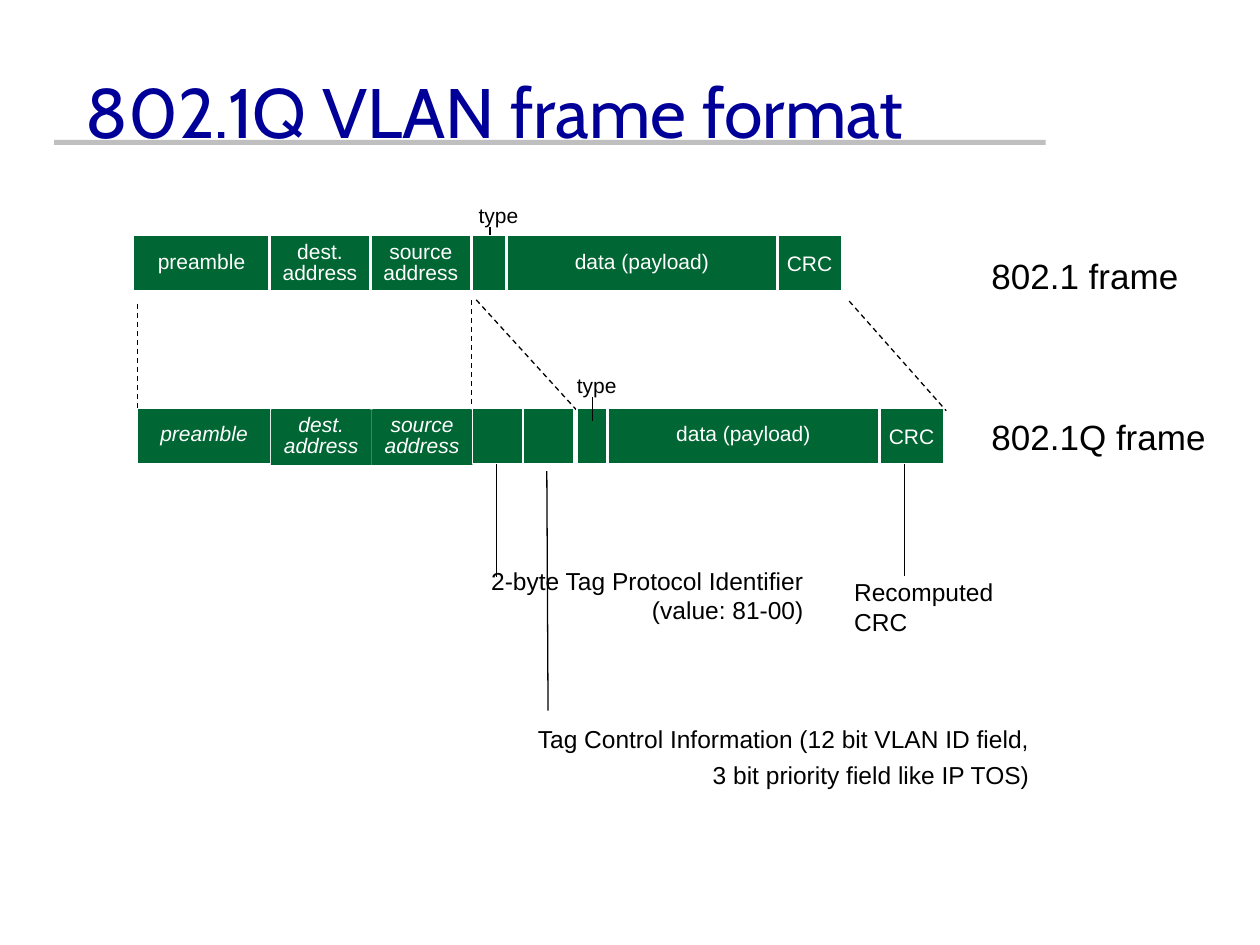
"""Build the slide that compares the 802.1 and 802.1Q frames."""
import lxml.etree
import pptx
import pptx.dml.color
import pptx.enum.dml
import pptx.enum.shapes
import pptx.enum.text
import pptx.oxml.ns
import pptx.util
from dataclasses import dataclass

ALIGN = pptx.enum.text.PP_ALIGN
ANCHOR = pptx.enum.text.MSO_ANCHOR
FIT = pptx.enum.text.MSO_AUTO_SIZE
RECT = pptx.enum.shapes.MSO_SHAPE.RECTANGLE
COLS, ROWS = 100, 75


@dataclass(frozen=True)
class Theme:
    """Colours, fonts and sizes of the slide."""
    ink: str = "000000"
    paper: str = "FFFFFF"
    field: str = "006633"
    title: str = "000099"
    rule: str = "BFBFBF"
    body: str = "Arial"
    head: str = "Cabin"
    small: float = 12
    note: float = 14
    name: float = 20
    large: float = 40
    thin: float = 0.75
    thick: float = 1.5


LOOK = Theme()


def tint(code):
    """Turn a hex code into a colour."""
    return pptx.dml.color.RGBColor.from_string(code)


def unit(count):
    """Turn a count of grid cells into a length."""
    return pptx.util.Inches(count * 10 / COLS)


def style(run, size, color, face=LOOK.body, slant=None):
    """Set the font of a run."""
    run.font.size = pptx.util.Pt(size)
    run.font.name = face
    run.font.color.rgb = tint(color)
    run.font.italic = slant


def block(parts, box, fill, edge=None):
    """Add a filled rectangle."""
    shape = parts.add_shape(RECT, *map(unit, box))
    shape.shadow.inherit = False
    shape.fill.solid()
    shape.fill.fore_color.rgb = tint(fill)
    if edge:
        shape.line.color.rgb = tint(edge)
        shape.line.width = pptx.util.Pt(LOOK.thin)
    else:
        shape.line.fill.background()
    return shape


def stroke(parts, start, end, color=LOOK.ink, width=LOOK.thin, dash=False):
    """Add a straight line between two grid points."""
    kind = pptx.enum.shapes.MSO_CONNECTOR.STRAIGHT
    line = parts.add_connector(kind, *map(unit, (*start, *end)))
    line.line.color.rgb = tint(color)
    line.line.width = pptx.util.Pt(width)
    if dash:
        line.line.dash_style = pptx.enum.dml.MSO_LINE.DASH
    props = line.element.find(pptx.oxml.ns.qn("p:spPr"))
    lxml.etree.SubElement(props, pptx.oxml.ns.qn("a:effectLst"))


def write(shape, lines, size, color=LOOK.ink, aligns=(ALIGN.LEFT,),
          lead=None, gap=0, slant=None, anchor=ANCHOR.TOP):
    """Fill a shape with one paragraph for each line."""
    frame = shape.text_frame
    frame.word_wrap = False
    frame.auto_size = FIT.SHAPE_TO_FIT_TEXT
    frame.vertical_anchor = anchor
    for order, text in enumerate(lines):
        para = frame.add_paragraph() if order else frame.paragraphs[0]
        para.alignment = aligns[min(order, len(aligns) - 1)]
        if lead:
            para.line_spacing = lead
        if order and gap:
            para.space_before = pptx.util.Pt(gap)
        run = para.add_run()
        run.text = text
        style(run, size, color, slant=slant)


def note(parts, box, lines, size, **looks):
    """Add a text box."""
    write(parts.add_textbox(*map(unit, box)), lines, size, **looks)


def heading(slide, box):
    """Place the title and the rule beneath it."""
    left, top, wide, high = box
    title = slide.shapes.title
    title.left, title.top, title.width, title.height = map(unit, box)
    frame = title.text_frame
    frame.auto_size = FIT.NONE
    frame.vertical_anchor = ANCHOR.MIDDLE
    para = frame.paragraphs[0]
    para.alignment = ALIGN.LEFT
    run = para.add_run()
    run.text = "802.1Q VLAN frame format"
    style(run, LOOK.large, LOOK.title, LOOK.head)
    rule = block(slide.shapes, (left - 1.5, top + 8.6, wide - 6.3, 0.4),
                 LOOK.rule)
    title.element.addprevious(rule.element)


def bar(parts, box, cells, slant=None):
    """Draw a row of fields, each a width, lines, label width and drop."""
    left, top, wide, high = box
    block(parts, box, LOOK.field, LOOK.paper)
    edge = left
    for width, *rest in cells[:-1]:
        edge += width
        stroke(parts, (edge, top - 0.1), (edge, top + high + 0.2),
               LOOK.paper, LOOK.thick)
    edge = left
    for width, lines, span, drop in cells:
        if lines:
            tall = 1 + 1.7 * len(lines)
            spot = (edge + (width - span) / 2,
                    top + (high - tall) / 2 + drop, span, tall)
            shape = (block(parts, spot, LOOK.field) if slant
                     else parts.add_textbox(*map(unit, spot)))
            write(shape, lines, LOOK.small, LOOK.paper, (ALIGN.CENTER,),
                  pptx.util.Pt(LOOK.small), slant=slant)
        edge += width


def mark(parts, box, tick):
    """Label the type field and point down to it."""
    left, top, wide, high = box
    note(parts, box, ["type"], LOOK.small)
    stroke(parts, (left + tick, top + 2.4), (left + tick, top + 4.3))


def frames(slide, box):
    """Draw both frames, their names and the lines that join them."""
    left, top, wide, high = box
    parts = slide.shapes
    low = top + 13.7
    dest = (8, ["dest.", "address"], 8, 0.1)
    source = (8, ["source", "address"], 8, 0.1)
    crc = (5.1, ["CRC"], 5.6, 0.2)

    def first(width):
        """Give the preamble field at a width."""
        return width, ["preamble"], 9, 0

    def load(width):
        """Give the payload field at a width."""
        return width, ["data (payload)"], 13, 0

    for start, end in (((0.3, 5.4), (0.3, 13.8)), ((26.8, 5.1), (26.8, 13.5)),
                       ((27.2, 5.1), (35.3, 14)), ((56.8, 5.2), (64.5, 13.9))):
        stroke(parts, (left + start[0], top + start[1]),
               (left + end[0], top + end[1]), dash=True)
    mark(parts, (left + 26.4, top - 3.1, 5.2, 3), 1.9)
    bar(parts, (left, top, 56.2, high),
        (first(10.8), dest, source, (2.8, [], 0, 0), load(21.5), crc))
    bar(parts.add_group_shape().shapes, (left + 0.3, low, 26.8, high),
        (first(10.6), dest, source, (0.2, [], 0, 0)), True)
    bar(parts, (left + 35.2, low, 29.1, high),
        ((2.4, [], 0, 0), load(21.6), crc))
    bar(parts, (left + 26.9, low, 8, high), ((4, [], 0, 0),) * 2)
    mark(parts, (left + 34.2, low - 3.3, 5.2, 3), 2.2)
    for down, span, text in ((1, 17, "802.1 frame"),
                             (13.8, 19.1, "802.1Q frame")):
        note(parts, (left + 67.1, top + down, span, high), [text], LOOK.name)


def remarks(slide, box):
    """Explain the tag fields and the checksum below the frames."""
    left, top, wide, high = box
    parts = slide.shapes
    sides = (ALIGN.LEFT, ALIGN.RIGHT)
    for start, end in (((1.4, 0), (1.4, 9.4)), ((5.4, 1), (5.5, 20)),
                       ((33.8, 0), (33.8, 9.3))):
        stroke(parts, (left + start[0], top + start[1]),
               (left + end[0], top + end[1]))
    for spot, lines, looks in (
            ((0, 8, 27.1, 5.7),
             ["2-byte Tag Protocol Identifier", "(value: 81-00)"],
             {"aligns": sides}),
            ((3.7, 20.5, 41.2, 6.3),
             ["Tag Control Information (12 bit VLAN ID field,",
              "3 bit priority field like IP TOS)"],
             {"aligns": sides, "gap": 4}),
            ((28.8, 9.3, 13.5, 5.3), ["Recomputed", "CRC"],
             {"lead": 0.8, "gap": 3.6})):
        across, down, *size = spot
        note(parts, (left + across, top + down, *size), lines, LOOK.note,
             anchor=ANCHOR.MIDDLE, **looks)


def main():
    """Build and save the deck."""
    deck = pptx.Presentation()
    deck.slide_width, deck.slide_height = unit(COLS), unit(ROWS)
    slide = deck.slides.add_slide(deck.slide_layouts[5])
    heading(slide, (5.8, 2.5, 85, 12.5))
    remarks(slide, (38, 36.4, 45, 27))
    frames(slide, (10.6, 18.7, 86.2, 4.4))
    deck.save("out.pptx")


if __name__ == "__main__":
    main()
